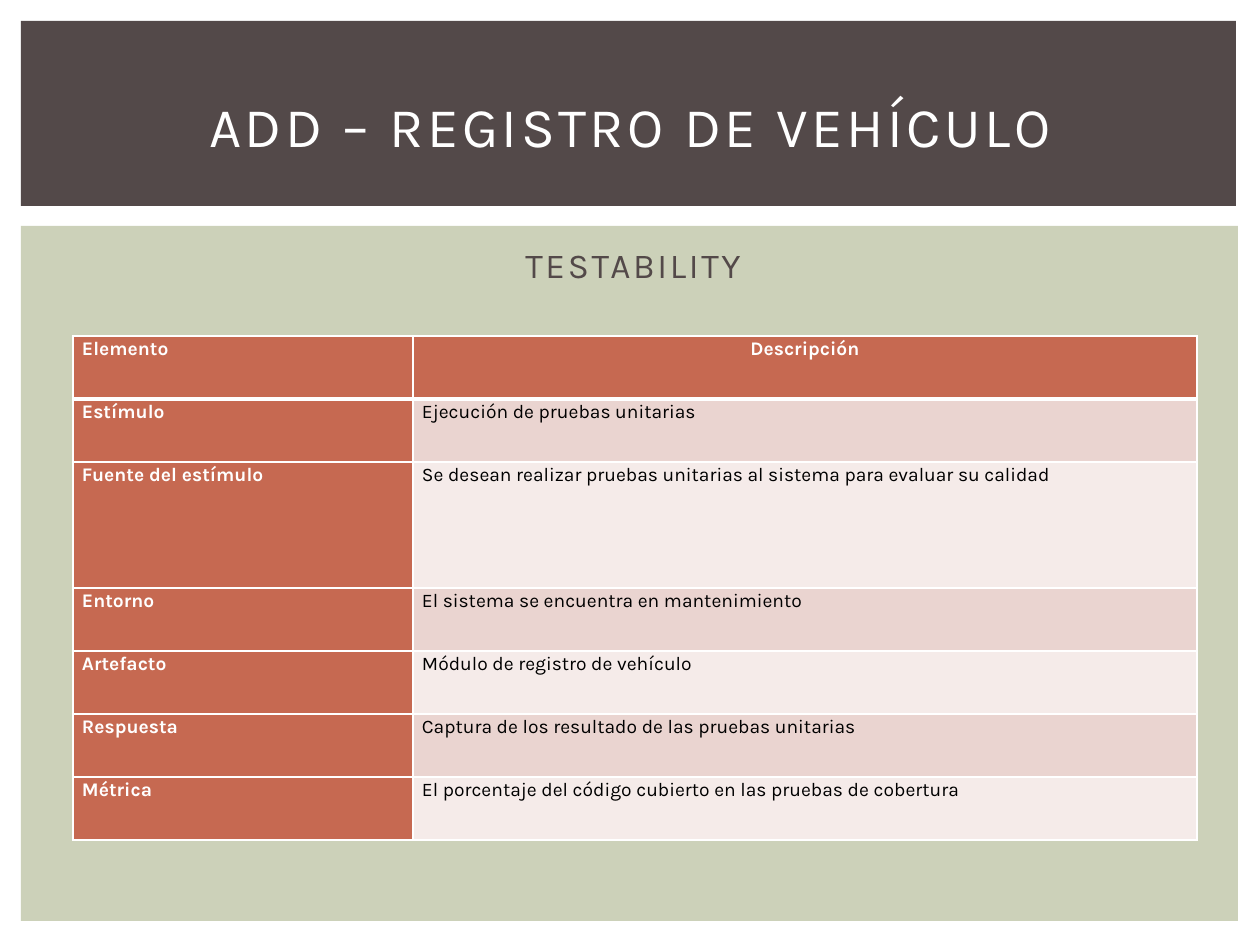
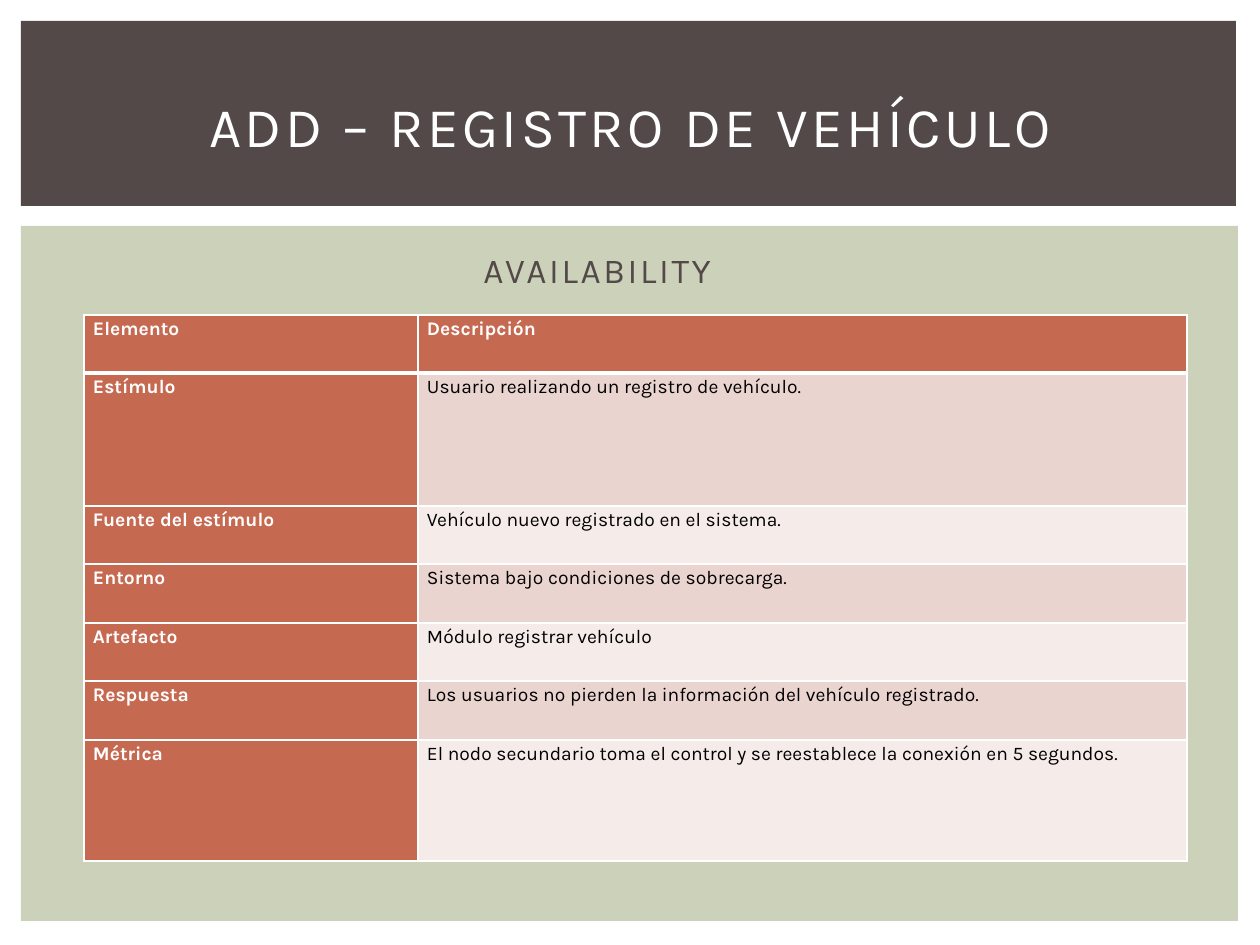
from dataclasses import dataclass
from lxml.etree import SubElement
from pptx import Presentation
from pptx.dml.color import RGBColor
from pptx.enum.shapes import MSO_SHAPE
from pptx.enum.text import MSO_ANCHOR, MSO_AUTO_SIZE, PP_ALIGN
from pptx.oxml.ns import qn
from pptx.util import Pt

SCALE = 914400 / 126


@dataclass(frozen=True)
class Theme:
    face: str = "Karla"
    dark: str = "534949"
    sage: str = "CCD1B9"
    rust: str = "C66951"
    rose: str = "EAD4D0"
    pale: str = "F5EBE9"
    white: str = "FFFFFF"
    black: str = "000000"
    head: int = 32
    sub: int = 20
    cell: int = 11
    thin: int = 1
    thick: int = 3


THEME = Theme()
LABELS = ["Elemento", "Estímulo", "Fuente del estímulo", "Entorno",
          "Artefacto", "Respuesta", "Métrica"]
BANDS = [((21, 226, 1217, 695), THEME.sage), ((21, 21, 1215, 185), THEME.dark)]
PAGES = [
    dict(
        topic="TESTABILITY", frame=(53, 237, 1158, 607), indent=460,
        spot=(73, 336), cols=[340, 784],
        rows=[63, 63, 126, 63, 63, 63, 63],
        lead=1.07, align=PP_ALIGN.CENTER,
        texts=["Descripción",
               "Ejecución de pruebas unitarias",
               "Se desean realizar pruebas unitarias al sistema para evaluar su calidad",
               "El sistema se encuentra en mantenimiento",
               "Módulo de registro de vehículo",
               "Captura de los resultado de las pruebas unitarias",
               "El porcentaje del código cubierto en las pruebas de cobertura"]),
    dict(
        topic="AVAILABILITY", frame=(42, 242, 1158, 607), indent=429,
        spot=(84, 315), cols=[334, 769],
        rows=[58, 133, 58, 59, 58, 59, 121],
        lead=1.15, align=PP_ALIGN.LEFT,
        texts=["Descripción",
               "Usuario realizando un registro de vehículo.",
               "Vehículo nuevo registrado en el sistema.",
               "Sistema bajo condiciones de sobrecarga.",
               "Módulo registrar vehículo",
               "Los usuarios no pierden la información del vehículo registrado.",
               "El nodo secundario toma el control y se reestablece la conexión en 5 segundos."]),
]


def px(size):
    return round(size * SCALE)


def apply(item, form):
    for name, value in form.items():
        setattr(item, name, value)


def place(shape, box):
    apply(shape, dict(zip(("left", "top", "width", "height"), map(px, box))))


def write(par, text, size, tint, bold=False, space=0):
    run = par.add_run()
    run.text = text
    apply(run.font, dict(name=THEME.face, size=Pt(size), bold=bold))
    run.font.color.rgb = RGBColor.from_string(tint)
    if space:
        run.font._element.set("spc", str(space))


def add_band(slide, box, tint):
    band = slide.shapes.add_shape(MSO_SHAPE.RECTANGLE, *map(px, box))
    band.shadow.inherit = False
    band.fill.solid()
    band.fill.fore_color.rgb = RGBColor.from_string(tint)
    band.line.fill.background()
    return band


def add_bands(slide):
    tree = slide.shapes._spTree
    for spot, (box, tint) in enumerate(BANDS, 2):
        tree.insert(spot, add_band(slide, box, tint)._element)


def set_title(slide, text):
    title = slide.shapes.title
    place(title, (53, 53, 1155, 145))
    apply(title.text_frame, dict(word_wrap=True, auto_size=MSO_AUTO_SIZE.NONE,
                                 vertical_anchor=MSO_ANCHOR.MIDDLE))
    par = title.text_frame.paragraphs[0]
    par.alignment = PP_ALIGN.CENTER
    write(par, text, THEME.head, THEME.white, space=200)


def add_topic(slide, text, box, indent):
    frame = slide.shapes.add_textbox(*map(px, box)).text_frame
    frame.word_wrap = True
    par = frame.paragraphs[0]
    par.space_before = Pt(4)
    par._p.get_or_add_pPr().set("marL", str(px(indent)))
    write(par, text, THEME.sub, THEME.dark, space=150)


def edge(cell, side, width):
    line = SubElement(cell._tc.get_or_add_tcPr(), qn(f"a:ln{side}"), w=str(Pt(width)))
    fill = SubElement(line, qn("a:solidFill"))
    SubElement(fill, qn("a:srgbClr"), val=THEME.white)


def fill_cell(cell, text, row, col, lead, align):
    head = row == 0
    label = head or col == 0
    heavy = {0: "B", 1: "T"}.get(row)
    apply(cell, dict(margin_left=px(9), margin_right=px(9), margin_top=0,
                     margin_bottom=0, vertical_anchor=MSO_ANCHOR.TOP))
    for side in "LRTB":
        edge(cell, side, THEME.thick if side == heavy else THEME.thin)
    tint = THEME.rust if label else (THEME.pale, THEME.rose)[row % 2]
    cell.fill.solid()
    cell.fill.fore_color.rgb = RGBColor.from_string(tint)
    par = cell.text_frame.paragraphs[0]
    apply(par, dict(line_spacing=lead,
                    alignment=align if head and col else PP_ALIGN.LEFT))
    write(par, text, THEME.cell, THEME.white if label else THEME.black, label)


def add_grid(slide, spot, cols, rows, texts, lead, align):
    box = (*spot, sum(cols), sum(rows))
    grid = slide.shapes.add_table(len(rows), len(cols), *map(px, box)).table
    for col, width in zip(grid.columns, cols):
        col.width = px(width)
    for row, height in zip(grid.rows, rows):
        row.height = px(height)
    for row, pair in enumerate(zip(LABELS, texts)):
        for col, text in enumerate(pair):
            fill_cell(grid.cell(row, col), text, row, col, lead, align)


def add_page(deck, topic, frame, indent, **grid):
    slide = deck.slides.add_slide(deck.slide_layouts[5])
    add_bands(slide)
    add_topic(slide, topic, frame, indent)
    set_title(slide, "ADD – REGISTRO DE VEHÍCULO")
    add_grid(slide, **grid)


def main():
    deck = Presentation()
    apply(deck, dict(slide_width=px(1260), slide_height=px(945)))
    for page in PAGES:
        add_page(deck, **page)
    deck.save("out.pptx")


if __name__ == "__main__":
    main()
